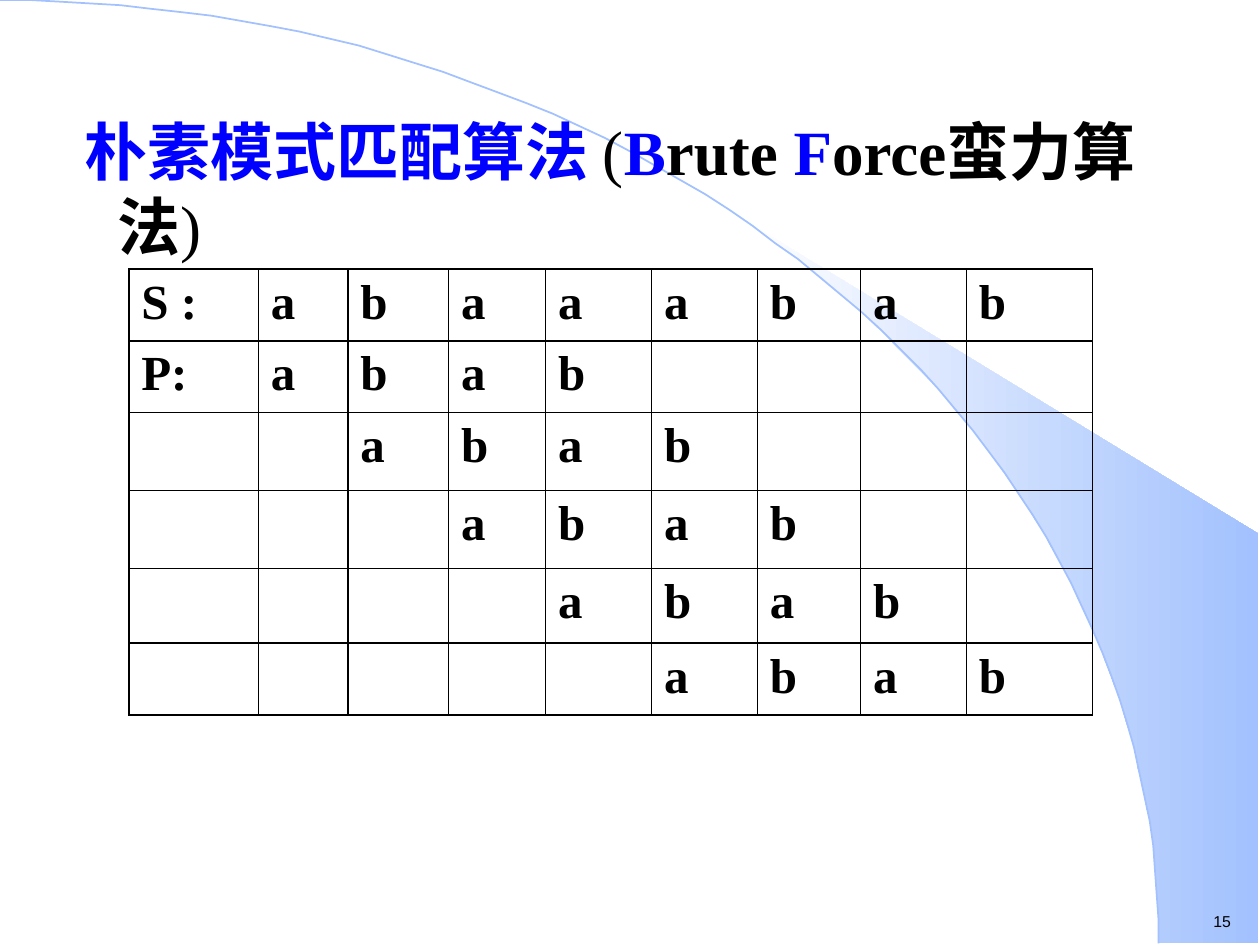
import math

from lxml import etree
from pptx import Presentation
from pptx.dml.color import RGBColor
from pptx.enum import text
from pptx.oxml import ns
from pptx.util import Pt

SERIF = "Times New Roman"
BLACK, BLUE, PALE_BLUE = "000000", "0000FF", "A2C1FE"
ARC_WIDTH, ARC_HEIGHT = 662.4, 539.3
WEDGE_LEFT, WEDGE_RIGHT, WEDGE_CORNER_Y = 424, 719.3, 304.6

SUBJECT, PATTERN = "abaaabab", "abab"
COLUMN_WIDTHS = [74, 51.2, 57.6, 55.4, 60.5, 60.5, 59, 60.5, 72]
ROW_HEIGHTS = [41, 41, 44.6, 44.6, 42.5, 41]

TITLE_RUNS = [
    (" 朴素模式匹配算法 ", BLUE, True),
    ("(", BLACK, False),
    ("B", BLUE, True),
    ("rute ", BLACK, True),
    ("F", BLUE, True),
    ("orce蛮力算法", BLACK, True),
    (")", BLACK, False),
]


def color(hex_value):
    return RGBColor.from_string(hex_value)


def set_format(target, values):
    for name, value in values.items():
        setattr(target, name, value)


def add_run(paragraph, words, size, hex_color, bold=False, font=SERIF):
    run = paragraph.add_run()
    run.text = words
    set_format(run.font, {"name": font, "size": Pt(size), "bold": bold})
    run.font.color.rgb = color(hex_color)


def arc_points(start_x=0, steps=60):
    """Points on the quarter ellipse from start_x down to its right end."""
    start = math.asin(start_x / ARC_WIDTH)
    angles = (start + (math.pi / 2 - start) * i / steps for i in range(steps + 1))
    return [(ARC_WIDTH * math.sin(a), ARC_HEIGHT * (1 - math.cos(a))) for a in angles]


def add_outline(slide, points, close):
    builder = slide.shapes.build_freeform(*points[0], scale=Pt(1))
    builder.add_line_segments(points[1:], close=close)
    outline = builder.convert_to_shape()
    outline.shadow.inherit = False
    return outline


def add_backdrop(slide):
    corners = [(WEDGE_RIGHT, ARC_HEIGHT), (WEDGE_RIGHT, WEDGE_CORNER_Y)]
    wedge = add_outline(slide, arc_points(WEDGE_LEFT) + corners, True)
    wedge.line.fill.background()
    wedge.fill.gradient()
    wedge.fill.gradient_angle = 0
    for stop, (position, shade) in zip(
        wedge.fill.gradient_stops, [(0, "FFFFFF"), (1, PALE_BLUE)]
    ):
        stop.position = position
        stop.color.rgb = color(shade)

    arc = add_outline(slide, arc_points(), False)
    arc.fill.background()
    arc.line.color.rgb = color(PALE_BLUE)
    arc.line.width = Pt(1)


def add_page_number(slide, number):
    box = slide.shapes.add_textbox(Pt(686.2), Pt(517.7), Pt(25.2), Pt(18))
    box.text_frame.word_wrap = False
    add_run(box.text_frame.paragraphs[0], number, 9, BLACK, font="Arial")


def border_cell(cell):
    properties = cell._tc.get_or_add_tcPr()
    for side in "LRTB":
        line = etree.SubElement(properties, ns.qn(f"a:ln{side}"), w=str(Pt(1)))
        fill = etree.SubElement(line, ns.qn("a:solidFill"))
        etree.SubElement(fill, ns.qn("a:srgbClr"), val=BLACK)


def matching_rows():
    """The subject, then the pattern moved one place right in each row."""
    rows = [["S :", *SUBJECT]]
    for shift in range(len(SUBJECT) - len(PATTERN) + 1):
        label = "" if shift else "P:"
        rest = len(SUBJECT) - len(PATTERN) - shift
        rows.append([label] + [""] * shift + list(PATTERN) + [""] * rest)
    return rows


def add_matching_table(slide):
    table = slide.shapes.add_table(
        len(ROW_HEIGHTS), len(COLUMN_WIDTHS), Pt(73.6), Pt(153.8),
        Pt(sum(COLUMN_WIDTHS)), Pt(sum(ROW_HEIGHTS)),
    ).table
    set_format(table, {"first_row": False, "horz_banding": False})
    for column, width in zip(table.columns, COLUMN_WIDTHS):
        column.width = Pt(width)
    for row, height, words in zip(table.rows, ROW_HEIGHTS, matching_rows()):
        row.height = Pt(height)
        for cell, letter in zip(row.cells, words):
            border_cell(cell)
            cell.fill.background()
            if letter:
                add_run(cell.text_frame.paragraphs[0], letter, 28, BLACK, True)


def format_title(slide):
    title = slide.shapes.title
    set_format(title, {"left": Pt(33), "top": Pt(60.5),
                       "width": Pt(670.3), "height": Pt(51)})
    set_format(title.text_frame, {
        "word_wrap": True,
        "auto_size": text.MSO_AUTO_SIZE.NONE,
        "vertical_anchor": text.MSO_ANCHOR.TOP,
    })
    paragraph = title.text_frame.paragraphs[0]
    paragraph.alignment = text.PP_ALIGN.LEFT
    indents = paragraph._p.get_or_add_pPr()
    indents.set("marL", str(Pt(27)))
    indents.set("indent", str(Pt(-27)))
    for words, shade, bold in TITLE_RUNS:
        add_run(paragraph, words, 36, shade, bold)
    slide.shapes._spTree.append(title._element)  # in front of the backdrop


def main():
    deck = Presentation()
    set_format(deck, {"slide_width": Pt(720), "slide_height": Pt(540)})
    slide = deck.slides.add_slide(deck.slide_layouts[5])
    add_backdrop(slide)
    add_page_number(slide, "15")
    add_matching_table(slide)
    format_title(slide)
    deck.save("out.pptx")


if __name__ == "__main__":
    main()
